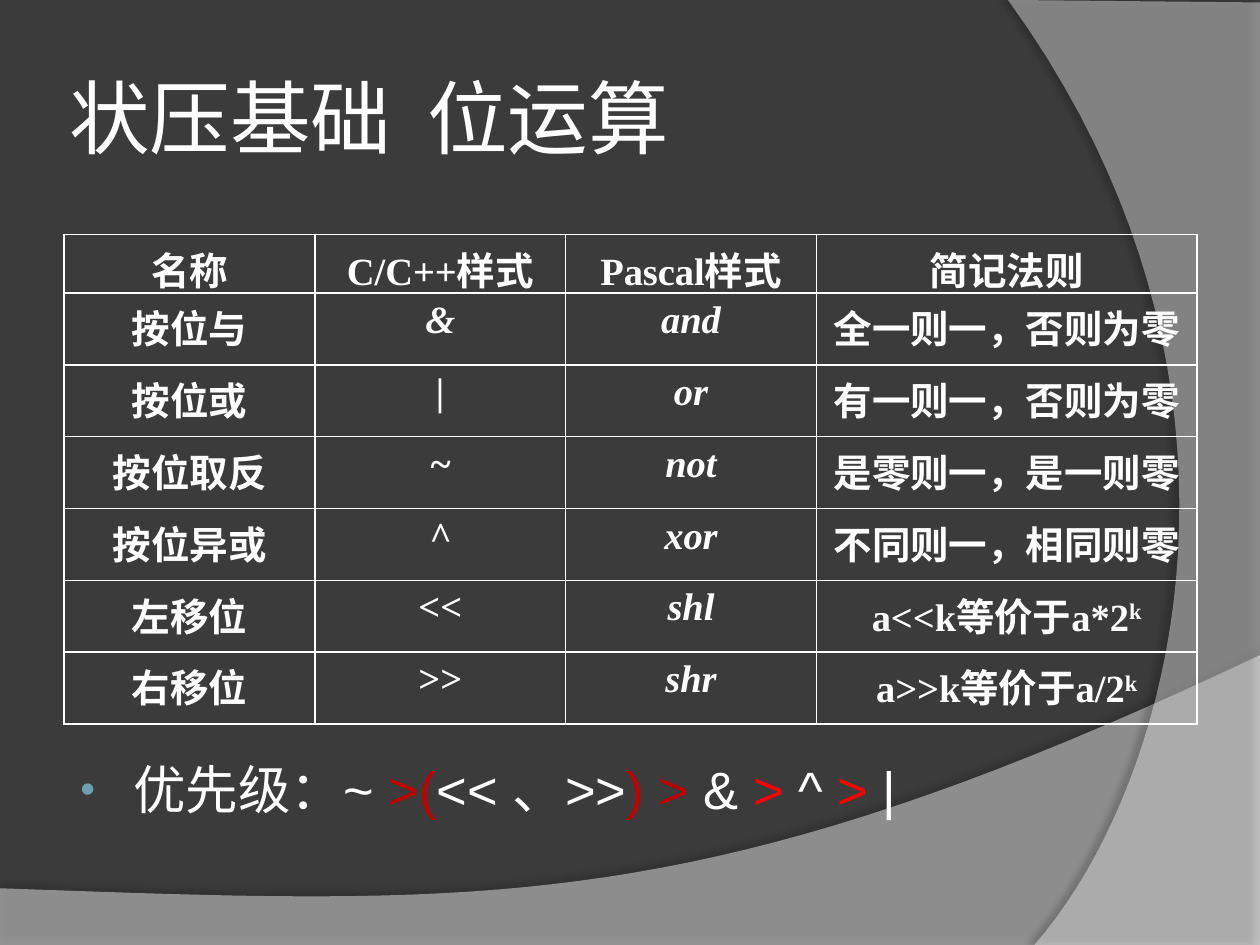
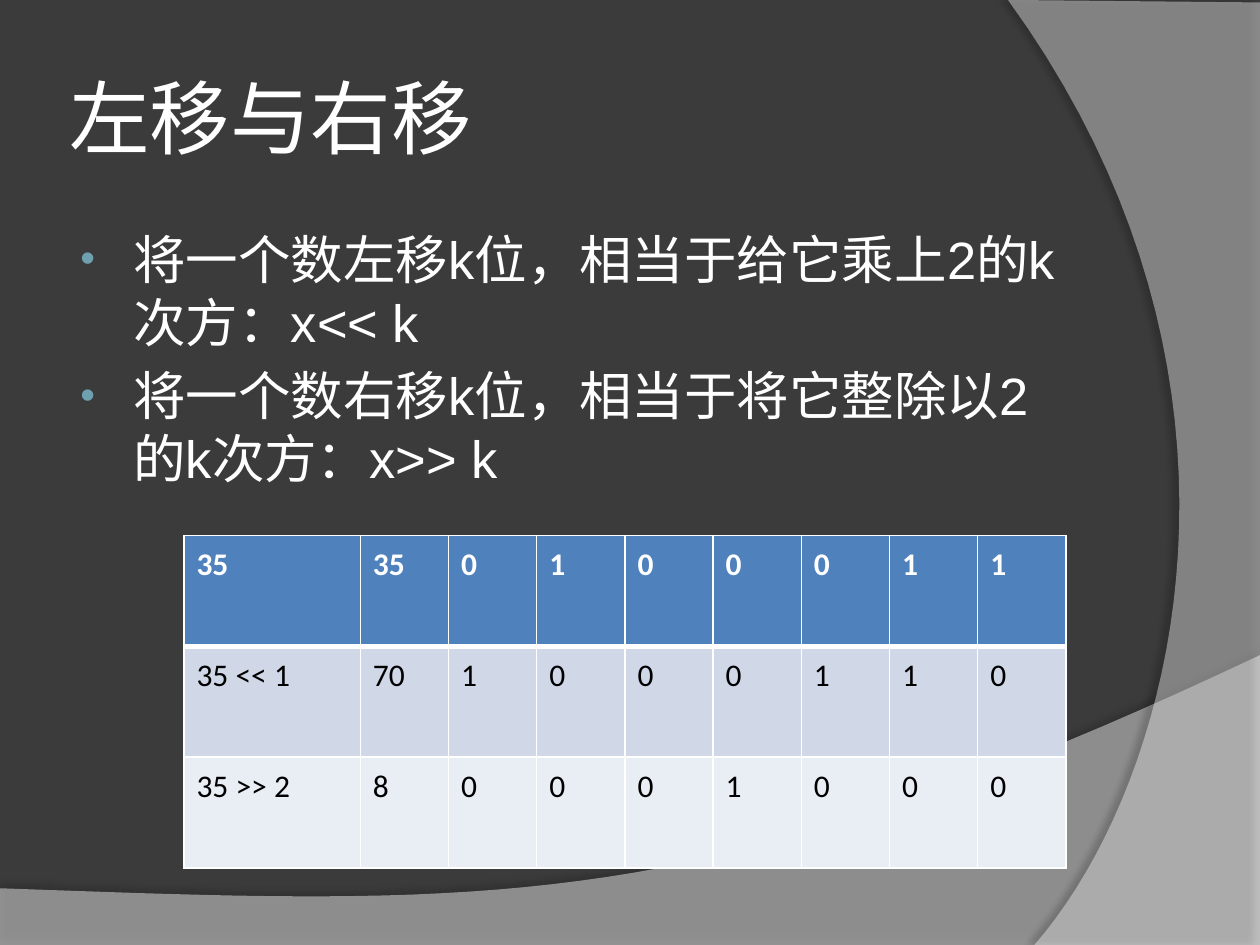
"""Build two slides on bitwise operators and shifting."""
import dataclasses
import itertools
import typing

import lxml.etree
import pptx
import pptx.dml.color
import pptx.enum.text
import pptx.oxml.ns
import pptx.util

Inches = pptx.util.Inches
Align = pptx.enum.text.PP_ALIGN
Anchor = pptx.enum.text.MSO_ANCHOR
Point = tuple[float, float]


@dataclasses.dataclass(frozen=True)
class Theme:
    background: str = "3B3B3B"
    light: str = "FFFFFF"
    dark: str = "000000"
    bullet: str = "6EA0B0"
    deep_red: str = "C00000"
    red: str = "FF0000"
    header_fill: str = "4F81BD"
    row_fills: tuple[str, str] = ("D0D8E8", "E9EDF4")
    title_font: str = "Open Sans"
    body_font: str = "Arial"
    operator_font: str = "Times New Roman"
    bits_font: str = "Calibri"
    title_size: float = 46
    body_size: float = 30
    operator_size: float = 22
    bits_size: float = 18
    thin_line: float = 0.96
    thick_line: float = 3


THEME = Theme()


@dataclasses.dataclass(frozen=True)
class Box:
    left: float
    top: float
    width: float
    height: float

    def lengths(self) -> list[pptx.util.Length]:
        return [Inches(value) for value in dataclasses.astuple(self)]


@dataclasses.dataclass(frozen=True)
class Wave:
    corners: tuple[Point, ...]
    curve: tuple[Point, Point, Point, Point]
    opacity: int
    shadow_opacity: int
    shadow_distance: float
    shadow_angle: int


@dataclasses.dataclass(frozen=True)
class Span:
    text: str
    color: str = THEME.light


WAVES = (
    Wave(((0, 7.5), (10, 7.5)), ((10, 5.2), (5.59, 7.29), (3.91, 7.19), (0, 7.05)),
         45, 35, 3.5, 270),
    Wave(((10, 0.02), (10, 7.5)), ((8.21, 7.5), (9.35, 6.19), (10.18, 3), (8, 0)),
         40, 45, 4, 180),
)
TITLE_BOX = Box(0.5, 0.3, 8.17, 1.25)

PRIORITY = [
    Span("优先级：~ "), Span(">(", THEME.deep_red), Span("<< 、>>"),
    Span(") >", THEME.deep_red), Span(" & "), Span(">", THEME.red),
    Span(" ^ "), Span(">", THEME.red), Span(" |"),
]
SHIFT_RULES = [
    [Span("将一个数左移k位，相当于给它乘上2的k次方：x<< k")],
    [Span("将一个数右移k位，相当于将它整除以2的k次方：x>> k")],
]
OPERATORS = [
    ("名称", "C/C++样式", "Pascal样式", "简记法则"),
    ("按位与", "&", "and", "全一则一，否则为零"),
    ("按位或", "|", "or", "有一则一，否则为零"),
    ("按位取反", "~", "not", "是零则一，是一则零"),
    ("按位异或", "^", "xor", "不同则一，相同则零"),
    ("左移位", "<<", "shl", "a<<k等价于a*2"),
    ("右移位", ">>", "shr", "a>>k等价于a/2"),
]
SHIFT_SYMBOLS = ("<<", ">>")
BIT_ROWS = [("35", 35), ("35 << 1", 70), ("35 >> 2", 8)]
BIT_COUNT = 7


def add_xml(parent: typing.Any, tag: str, **attributes: typing.Any) -> typing.Any:
    values = {name: str(value) for name, value in attributes.items()}
    return lxml.etree.SubElement(parent, pptx.oxml.ns.qn(tag), values)


def rgb(color: str) -> pptx.dml.color.RGBColor:
    return pptx.dml.color.RGBColor.from_string(color)


def write_text(paragraph: typing.Any, text: str, *, font: str, size: float,
               color: str = THEME.light, bold: bool = False,
               italic: bool = False, superscript: bool = False) -> None:
    run = paragraph.add_run()
    run.text = text
    run.font.name = font
    run.font.size = pptx.util.Pt(size)
    run.font.color.rgb = rgb(color)
    run.font.bold = bold
    run.font.italic = italic
    if superscript:
        run._r.get_or_add_rPr().set("baseline", "30000")


def curve_points(curve: tuple[Point, ...], steps: int = 40) -> list[Point]:
    points = []
    for step in range(steps + 1):
        t = step / steps
        weights = ((1 - t) ** 3, 3 * t * (1 - t) ** 2, 3 * t * t * (1 - t), t ** 3)
        points.append(tuple(sum(weight * point[axis] for weight, point in zip(weights, curve))
                            for axis in (0, 1)))
    return points


def add_wave(slide: typing.Any, wave: Wave) -> None:
    outline = [(Inches(x), Inches(y)) for x, y in (*wave.corners, *curve_points(wave.curve))]
    builder = slide.shapes.build_freeform(*outline[0])
    builder.add_line_segments(outline[1:], close=True)
    shape = builder.convert_to_shape()
    shape.fill.solid()
    shape.fill.fore_color.rgb = rgb(THEME.light)
    shape.line.fill.background()
    shape.shadow.inherit = False
    properties = shape._element.spPr
    fill_color = properties.find(".//" + pptx.oxml.ns.qn("a:srgbClr"))
    add_xml(fill_color, "a:alpha", val=wave.opacity * 1000)
    effects = properties.find(pptx.oxml.ns.qn("a:effectLst"))
    shadow = add_xml(effects, "a:outerShdw", blurRad=pptx.util.Pt(4),
                     dist=pptx.util.Pt(wave.shadow_distance),
                     dir=wave.shadow_angle * 60000, algn="ctr", rotWithShape=0)
    shadow_color = add_xml(shadow, "a:srgbClr", val=THEME.dark)
    add_xml(shadow_color, "a:alpha", val=wave.shadow_opacity * 1000)


def add_text_frame(slide: typing.Any, box: Box, side_inset: float) -> typing.Any:
    frame = slide.shapes.add_textbox(*box.lengths()).text_frame
    frame.word_wrap = True
    frame.margin_left = frame.margin_right = Inches(side_inset)
    frame.margin_top = frame.margin_bottom = Inches(0.05)
    return frame


def add_titled_slide(presentation: typing.Any, title: str) -> typing.Any:
    slide = presentation.slides.add_slide(presentation.slide_layouts[6])
    slide.background.fill.solid()
    slide.background.fill.fore_color.rgb = rgb(THEME.background)
    for wave in WAVES:
        add_wave(slide, wave)
    frame = add_text_frame(slide, TITLE_BOX, 0.05)
    frame.vertical_anchor = Anchor.MIDDLE
    write_text(frame.paragraphs[0], title, font=THEME.title_font, size=THEME.title_size)
    return slide


def add_bullets(slide: typing.Any, box: Box, items: list[list[Span]]) -> None:
    frame = add_text_frame(slide, box, 0.1)
    for index, spans in enumerate(items):
        paragraph = frame.add_paragraph() if index else frame.paragraphs[0]
        paragraph.space_before = pptx.util.Pt(6)
        properties = paragraph._p.get_or_add_pPr()
        properties.set("marL", str(Inches(0.46)))
        properties.set("indent", str(Inches(-0.42)))
        add_xml(add_xml(properties, "a:buClr"), "a:srgbClr", val=THEME.bullet)
        add_xml(properties, "a:buSzPct", val=80000)
        add_xml(properties, "a:buFont", typeface=THEME.body_font)
        add_xml(properties, "a:buChar", char="•")
        for span in spans:
            write_text(paragraph, span.text, font=THEME.body_font,
                       size=THEME.body_size, color=span.color)


def set_borders(cell: typing.Any, top: float = THEME.thin_line,
                bottom: float = THEME.thin_line) -> None:
    properties = cell._tc.get_or_add_tcPr()
    widths = {"L": THEME.thin_line, "R": THEME.thin_line, "T": top, "B": bottom}
    for index, (side, width) in enumerate(widths.items()):
        line = add_xml(properties, f"a:ln{side}", w=pptx.util.Pt(width))
        add_xml(add_xml(line, "a:solidFill"), "a:srgbClr", val=THEME.light)
        properties.insert(index, line)


def add_plain_table(slide: typing.Any, box: Box, columns: list[float],
                    rows: list[float]) -> typing.Any:
    table = slide.shapes.add_table(len(rows), len(columns), *box.lengths()).table
    table.first_row = table.horz_banding = False
    for column, width in zip(table.columns, columns):
        column.width = Inches(width)
    for row, height in zip(table.rows, rows):
        row.height = Inches(height)
    return table


def add_operator_table(slide: typing.Any) -> None:
    table = add_plain_table(slide, Box(0.51, 1.86, 9, 3.89),
                            [1.99] * 3 + [3.02], [0.46] + [0.57] * 6)
    style = {"font": THEME.operator_font, "size": THEME.operator_size, "bold": True}
    for row, column in itertools.product(range(len(OPERATORS)), range(4)):
        text = OPERATORS[row][column]
        cell = table.cell(row, column)
        cell.fill.background()
        set_borders(cell)
        paragraph = cell.text_frame.paragraphs[0]
        paragraph.alignment = Align.CENTER
        italic = row > 0 and column in (1, 2) and text not in SHIFT_SYMBOLS
        write_text(paragraph, text, italic=italic, **style)
        if column == 3 and OPERATORS[row][1] in SHIFT_SYMBOLS:
            write_text(paragraph, "k", superscript=True, **style)


def add_bits_table(slide: typing.Any) -> None:
    table = add_plain_table(slide, Box(1.46, 4.25, 7, 2.64),
                            [1.4] + [0.7] * (BIT_COUNT + 1), [0.88] * 3)
    fills = (THEME.header_fill, *THEME.row_fills)
    for row, (label, value) in enumerate(BIT_ROWS):
        header = row == 0
        for column, text in enumerate((label, str(value), *f"{value:0{BIT_COUNT}b}")):
            cell = table.cell(row, column)
            cell.fill.solid()
            cell.fill.fore_color.rgb = rgb(fills[row])
            set_borders(cell, top=THEME.thick_line if row == 1 else THEME.thin_line,
                        bottom=THEME.thick_line if header else THEME.thin_line)
            paragraph = cell.text_frame.paragraphs[0]
            paragraph.alignment = Align.JUSTIFY
            paragraph.line_spacing = 1.1
            paragraph.space_before = pptx.util.Pt(18)
            write_text(paragraph, text, font=THEME.bits_font, size=THEME.bits_size,
                       color=THEME.light if header else THEME.dark, bold=header)


def main() -> None:
    presentation = pptx.Presentation()
    presentation.slide_width = Inches(10)
    presentation.slide_height = Inches(7.5)

    operators = add_titled_slide(presentation, "状压基础  位运算")
    add_bullets(operators, Box(0.5, 5.96, 8.83, 1.02), [PRIORITY])
    add_operator_table(operators)

    shifts = add_titled_slide(presentation, "左移与右移")
    add_bullets(shifts, Box(0.5, 1.75, 8.17, 4.95), SHIFT_RULES)
    add_bits_table(shifts)

    presentation.save("out.pptx")


main()
